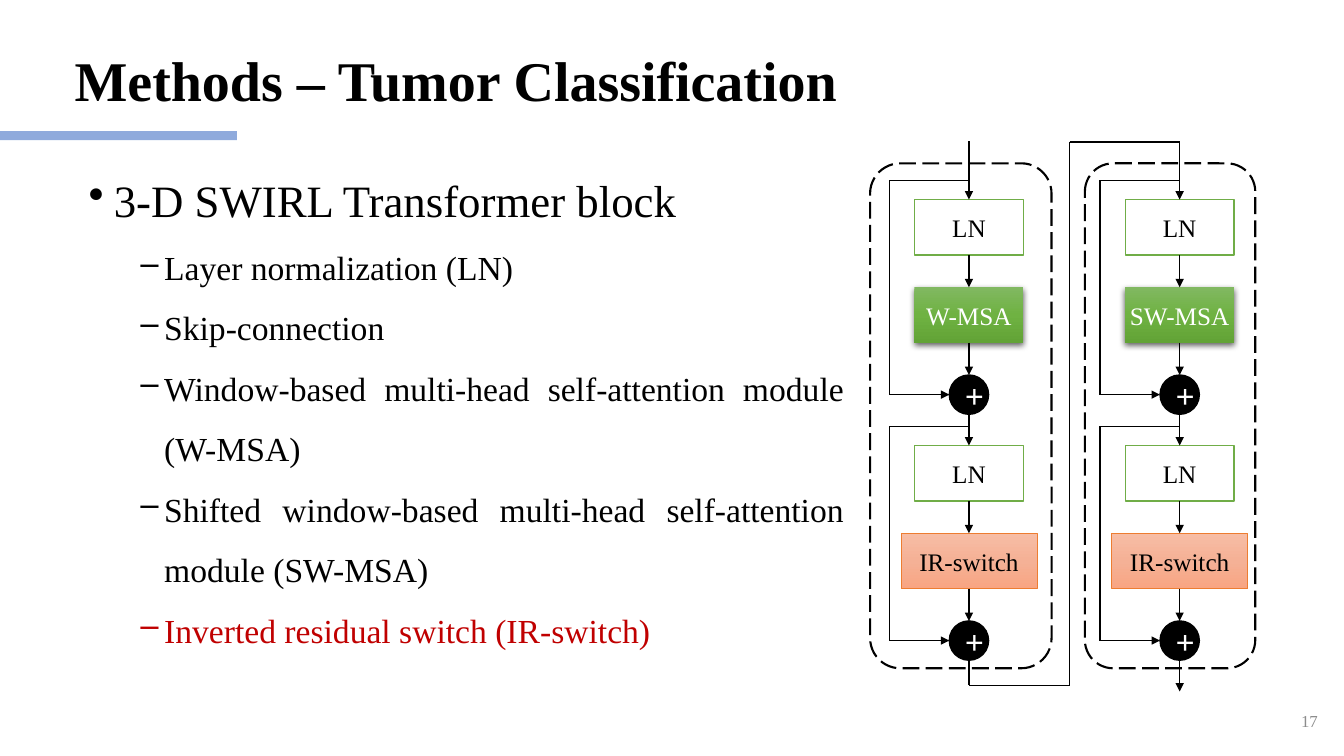
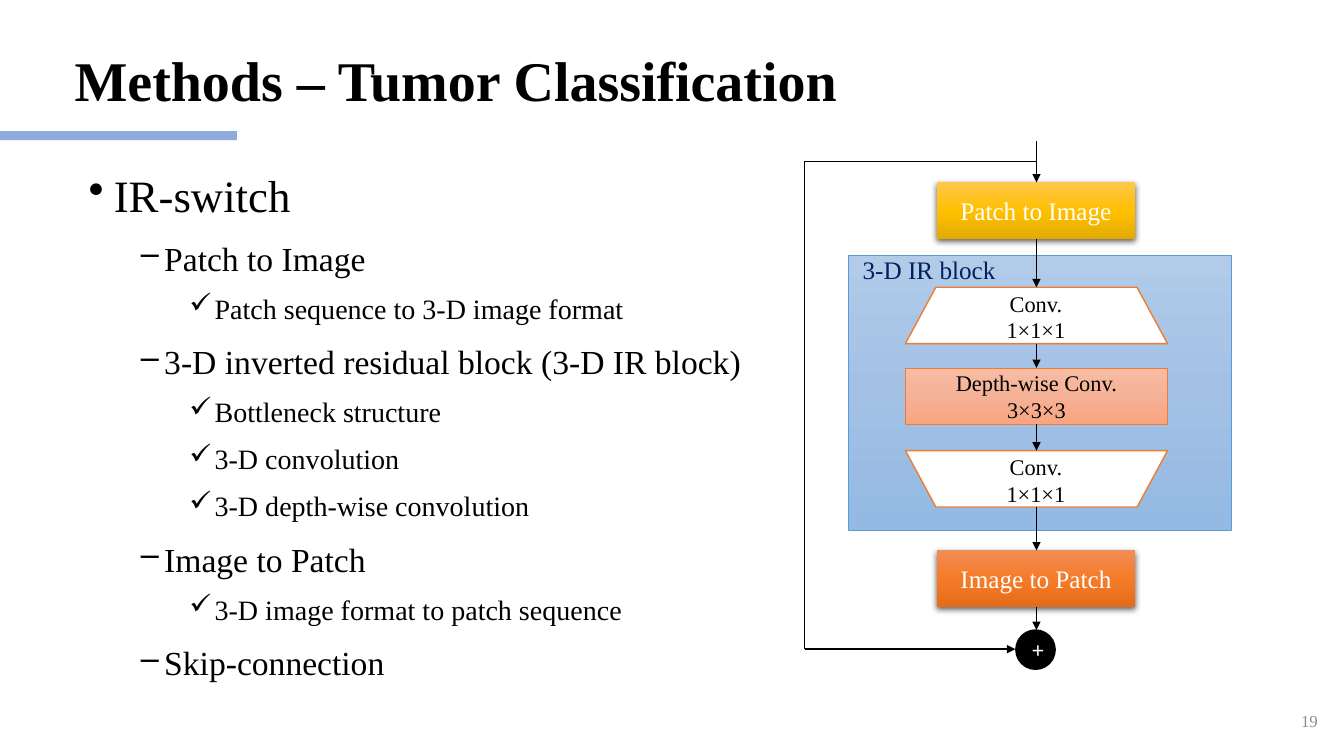
import copy
import itertools
from dataclasses import dataclass

import pptx
import pptx.dml.color
import pptx.enum.dml
import pptx.enum.shapes
import pptx.enum.text
import pptx.oxml
import pptx.oxml.ns
import pptx.util

Inches, Pt = pptx.util.Inches, pptx.util.Pt
RGBColor = pptx.dml.color.RGBColor
SHAPE = pptx.enum.shapes.MSO_SHAPE
ALIGN = pptx.enum.text.PP_ALIGN
MIDDLE = pptx.enum.text.MSO_ANCHOR.MIDDLE
TOP = pptx.enum.text.MSO_ANCHOR.TOP
qn = pptx.oxml.ns.qn

BLACK = RGBColor(0x00, 0x00, 0x00)
WHITE = RGBColor(0xFF, 0xFF, 0xFF)
BAND = RGBColor(0x8F, 0xAA, 0xDC)
GREY = RGBColor(0x8C, 0x8C, 0x8C)
RED = RGBColor(0xC0, 0x00, 0x00)
NAVY = RGBColor(0x00, 0x20, 0x60)
GREEN = RGBColor(0x70, 0xAD, 0x47)
ORANGE = RGBColor(0xED, 0x7D, 0x31)
BLUE = RGBColor(0x5B, 0x9B, 0xD5)


def gradient(*codes: str) -> list[RGBColor]:
    return [RGBColor.from_string(code) for code in codes]


GREEN_FADE = gradient("81B861", "6FB242", "62A336")
PEACH_FADE = gradient("F7BDA5", "F5B196", "F8A582")
BLUE_FADE = gradient("B1CBE9", "A3C1E5", "93B9E4")
GOLD_FADE = gradient("FFC64B", "FFC000", "E3AB00")
ORANGE_FADE = gradient("F18C57", "F67B28", "E56C19")

FONT = "Times New Roman"
TITLE = "Methods – Tumor Classification"
A_NS = 'xmlns:a="http://schemas.openxmlformats.org/drawingml/2006/main"'
SHADOW = (f'<a:outerShdw {A_NS} blurRad="57150" dist="19050" dir="5400000" algn="ctr" '
          'rotWithShape="0"><a:srgbClr val="000000"><a:alpha val="63000"/></a:srgbClr>'
          '</a:outerShdw>')
ZERO_INSETS = dict.fromkeys(("margin_left", "margin_right", "margin_top", "margin_bottom"), 0)
PLUS_SIZE = 0.39


@dataclass(frozen=True)
class Style:
    fill: RGBColor | list[RGBColor] | None = None
    line: RGBColor | None = None
    width: float = 1
    dashed: bool = False
    shadow: bool = False
    text: RGBColor = BLACK
    size: int = 18


@dataclass(frozen=True)
class Level:
    bullet: str
    size: int
    indent: float


@dataclass(frozen=True)
class Item:
    level: int
    text: str
    color: RGBColor = BLACK


@dataclass(frozen=True)
class Stage:
    """One transformer stage: its centre line, dashed frame and attention module."""
    center: float
    frame_left: float
    frame_width: float
    attention: str


LEVELS = (Level("•", 32, 0.39), Level("‒", 24, 0.89), Level("✓", 20, 1.39))

FRAME = Style(line=BLACK, width=1.5, dashed=True)
NORM = Style(WHITE, GREEN)
ATTENTION = Style(GREEN_FADE, shadow=True, text=WHITE)
IR_SWITCH = Style(PEACH_FADE, ORANGE, 0.5)
DEPTHWISE = Style(PEACH_FADE, ORANGE, 0.5, size=16)
CONV = Style(WHITE, ORANGE, size=16)
IR_BLOCK = Style(BLUE_FADE, BLUE, 0.5)
TO_IMAGE = Style(GOLD_FADE, shadow=True, text=WHITE)
TO_PATCH = Style(ORANGE_FADE, shadow=True, text=WHITE)

STAGES = (Stage(9.61, 8.63, 1.8, "W-MSA"), Stage(11.7, 10.76, 1.69, "SW-MSA"))

BLOCK_ITEMS = (
    Item(0, "3-D SWIRL Transformer block"),
    Item(1, "Layer normalization (LN)"),
    Item(1, "Skip-connection"),
    Item(1, "Window-based multi-head self-attention module (W-MSA)"),
    Item(1, "Shifted window-based multi-head self-attention module (SW-MSA)"),
    Item(1, "Inverted residual switch (IR-switch)", RED),
)
SWITCH_ITEMS = (
    Item(0, "IR-switch"),
    Item(1, "Patch to Image"),
    Item(2, "Patch sequence to 3-D image format"),
    Item(1, "3-D inverted residual block (3-D IR block)"),
    Item(2, "Bottleneck structure"),
    Item(2, "3-D convolution"),
    Item(2, "3-D depth-wise convolution"),
    Item(1, "Image to Patch"),
    Item(2, "3-D image format to patch sequence"),
    Item(1, "Skip-connection"),
)


def set_attrs(target, values: dict) -> None:
    for name, value in values.items():
        setattr(target, name, value)


def add_run(p, text: str, size: int, color: RGBColor, bold: bool = False) -> None:
    r = p.add_run()
    r.text = text
    set_attrs(r.font, {"name": FONT, "size": Pt(size), "bold": bold})
    r.font.color.rgb = color


def write_lines(tf, text: str, size: int, color: RGBColor, align=ALIGN.CENTER,
                bold: bool = False) -> None:
    for i, line in enumerate(text.split("\n")):
        p = tf.add_paragraph() if i else tf.paragraphs[0]
        p.alignment = align
        add_run(p, line, size, color, bold)


def set_fill(sp, fill) -> None:
    if fill is None:
        sp.fill.background()
    elif isinstance(fill, list):
        sp.fill.gradient()
        sp.fill.gradient_angle = 270
        stops = sp._element.spPr.find(".//" + qn("a:gsLst"))
        stops.insert(1, copy.deepcopy(stops[0]))
        stops[1].set("pos", "50000")
        for stop, color in zip(sp.fill.gradient_stops, fill):
            stop.color.rgb = color
    else:
        sp.fill.solid()
        sp.fill.fore_color.rgb = fill


def add_box(s, kind, left: float, top: float, width: float, height: float, style: Style,
            text: str = ""):
    sp = s.shapes.add_shape(kind, Inches(left), Inches(top), Inches(width), Inches(height))
    set_fill(sp, style.fill)
    if style.line is None:
        sp.line.fill.background()
    else:
        sp.line.color.rgb = style.line
        sp.line.width = Pt(style.width)
    if style.dashed:
        sp.line.dash_style = pptx.enum.dml.MSO_LINE.LONG_DASH
    sp.shadow.inherit = False
    if style.shadow:
        effects = sp._element.spPr.find(qn("a:effectLst"))
        effects.append(pptx.oxml.parse_xml(SHADOW))
    if text:
        set_attrs(sp.text_frame, {**ZERO_INSETS, "word_wrap": False, "vertical_anchor": MIDDLE})
        write_lines(sp.text_frame, text, style.size, style.text)
    return sp


def add_text_box(s, left: float, top: float, width: float, height: float, **frame):
    tb = s.shapes.add_textbox(Inches(left), Inches(top), Inches(width), Inches(height))
    set_attrs(tb.text_frame, {"word_wrap": True, **frame})
    return tb.text_frame


def add_label(s, left: float, top: float, width: float, height: float, text: str, size: int,
              color: RGBColor) -> None:
    tf = add_text_box(s, left, top, width, height, **ZERO_INSETS, vertical_anchor=MIDDLE)
    write_lines(tf, text, size, color)


def add_plus(s, center: float, top: float, size: int) -> None:
    sp = add_box(s, SHAPE.OVAL, center - PLUS_SIZE / 2, top, PLUS_SIZE, PLUS_SIZE,
                 Style(BLACK, BLACK))
    sp.text_frame.vertical_anchor = MIDDLE
    write_lines(sp.text_frame, "+", size, WHITE, bold=True)


def add_route(s, *points: tuple[float, float]) -> None:
    """Join the points with straight lines and put an arrowhead on the last one."""
    for start, end in itertools.pairwise(points):
        cx = s.shapes.add_connector(pptx.enum.shapes.MSO_CONNECTOR.STRAIGHT,
                                    *(Inches(v) for v in (*start, *end)))
        cx.line.color.rgb = BLACK
        cx.line.width = Pt(1)
        if end == points[-1]:
            ln = cx.line._get_or_add_ln()
            ln.append(pptx.oxml.parse_xml(f'<a:tailEnd {A_NS} type="triangle"/>'))
        cx._element.spPr.append(pptx.oxml.parse_xml(f"<a:effectLst {A_NS}/>"))


def add_bullets(s, items: tuple[Item, ...], width: float, spacing: float) -> None:
    tf = add_text_box(s, 0.64, 1.4, width, 5.55, vertical_anchor=TOP)
    for i, item in enumerate(items):
        level = LEVELS[item.level]
        p = tf.add_paragraph() if i else tf.paragraphs[0]
        pPr = p._p.get_or_add_pPr()
        pPr.set("marL", str(Inches(level.indent)))
        pPr.set("indent", str(Inches(-0.25)))
        pPr.append(pptx.oxml.parse_xml(f'<a:buChar {A_NS} char="{level.bullet}"/>'))
        set_attrs(p, {"level": item.level, "alignment": ALIGN.JUSTIFY,
                      "line_spacing": spacing, "space_before": Pt(0)})
        add_run(p, item.text, level.size, item.color)


def add_slide(prs, number: int):
    s = prs.slides.add_slide(prs.slide_layouts[5])
    add_box(s, SHAPE.RECTANGLE, -0.01, 1.3, 2.36, 0.09, Style(BAND))
    title = s.shapes.title
    set_attrs(title, {"left": Inches(0.64), "top": Inches(0.25),
                      "width": Inches(10.75), "height": Inches(1.15)})
    title.text_frame.vertical_anchor = MIDDLE
    write_lines(title.text_frame, TITLE, 40, BLACK, ALIGN.LEFT, bold=True)
    title.text_frame.paragraphs[0].line_spacing = 0.9
    tf = add_text_box(s, 12.61, 6.95, 0.56, 0.4, vertical_anchor=MIDDLE)
    write_lines(tf, str(number), 12, GREY, ALIGN.RIGHT)
    return s


def add_half_stage(s, center: float, top: float, module: str, module_width: float,
                   style: Style) -> None:
    """Draw normalization, module and sum, with the skip connection around them."""
    height, step = 0.55, 0.87
    module_top, plus_top = top + step, top + 2 * step
    plus_middle = plus_top + PLUS_SIZE / 2
    add_box(s, SHAPE.RECTANGLE, center - 0.54, top, 1.08, height, NORM, "LN")
    add_box(s, SHAPE.RECTANGLE, center - module_width / 2, module_top, module_width, height,
            style, module)
    add_plus(s, center, plus_top, 24)
    for upper in (top, module_top):
        add_route(s, (center, upper + height), (center, upper + step))
    side, skip_top = center - 0.79, top - 0.19
    add_route(s, (center, skip_top), (side, skip_top), (side, plus_middle),
              (center - PLUS_SIZE / 2, plus_middle))


def build_block_slide(prs) -> None:
    s = add_slide(prs, 17)
    add_bullets(s, BLOCK_ITEMS, 7.83, 1.5)
    upper, lower = 1.98, 4.42
    for stage in STAGES:
        add_box(s, SHAPE.ROUNDED_RECTANGLE, stage.frame_left, 1.62, stage.frame_width, 5.01,
                FRAME)
        add_half_stage(s, stage.center, upper, stage.attention, 1.08, ATTENTION)
        add_half_stage(s, stage.center, lower, "IR-switch", 1.35, IR_SWITCH)
        add_route(s, (stage.center, 4.11), (stage.center, lower))
    first, second = (stage.center for stage in STAGES)
    add_route(s, (first, 1.4), (first, upper))
    add_route(s, (first, 6.55), (first, 6.8), (10.61, 6.8), (10.61, 1.41), (second, 1.41),
              (second, upper))
    add_route(s, (second, 6.51), (second, 6.86))


def build_switch_slide(prs) -> None:
    s = add_slide(prs, 19)
    add_bullets(s, SWITCH_ITEMS, 6.99, 1.4)
    center, height = 10.28, 0.56
    tops = (1.81, 2.85, 3.65, 4.47, 5.46, 6.25)
    to_image, squeeze, depthwise, expand, to_patch, plus = tops
    add_box(s, SHAPE.RECTANGLE, 8.41, 2.53, 3.8, 2.73, IR_BLOCK)
    for top, style, text in ((to_image, TO_IMAGE, "Patch to Image"),
                             (to_patch, TO_PATCH, "Image to Patch")):
        add_box(s, SHAPE.RECTANGLE, center - 0.99, top, 1.97, height, style, text)
    for top, rotation in ((squeeze, 0), (expand, 180)):
        sp = add_box(s, SHAPE.TRAPEZOID, center - 1.3, top, 2.6, height, CONV)
        sp.adjustments[0] = 0.54
        sp.rotation = rotation
        add_label(s, center - 0.44, top - 0.03, 0.87, 0.64, "Conv.\n1×1×1", CONV.size, CONV.text)
    add_box(s, SHAPE.RECTANGLE, center - 1.3, depthwise, 2.6, height, DEPTHWISE,
            "Depth-wise Conv.\n3×3×3")
    add_plus(s, center - 0.01, plus, 16)
    add_label(s, 8.45, 2.47, 1.53, 0.4, "3-D IR block", 18, NAVY)
    add_route(s, (center, 1.4), (center, to_image))
    for upper, lower in itertools.pairwise(tops):
        add_route(s, (center, upper + height), (center, lower))
    add_route(s, (center, 1.6), (7.98, 1.6), (7.98, 6.44), (10.07, 6.44))


def main() -> None:
    prs = pptx.Presentation()
    prs.slide_width, prs.slide_height = Inches(13.33), Inches(7.5)
    build_block_slide(prs)
    build_switch_slide(prs)
    prs.save("out.pptx")


if __name__ == "__main__":
    main()
